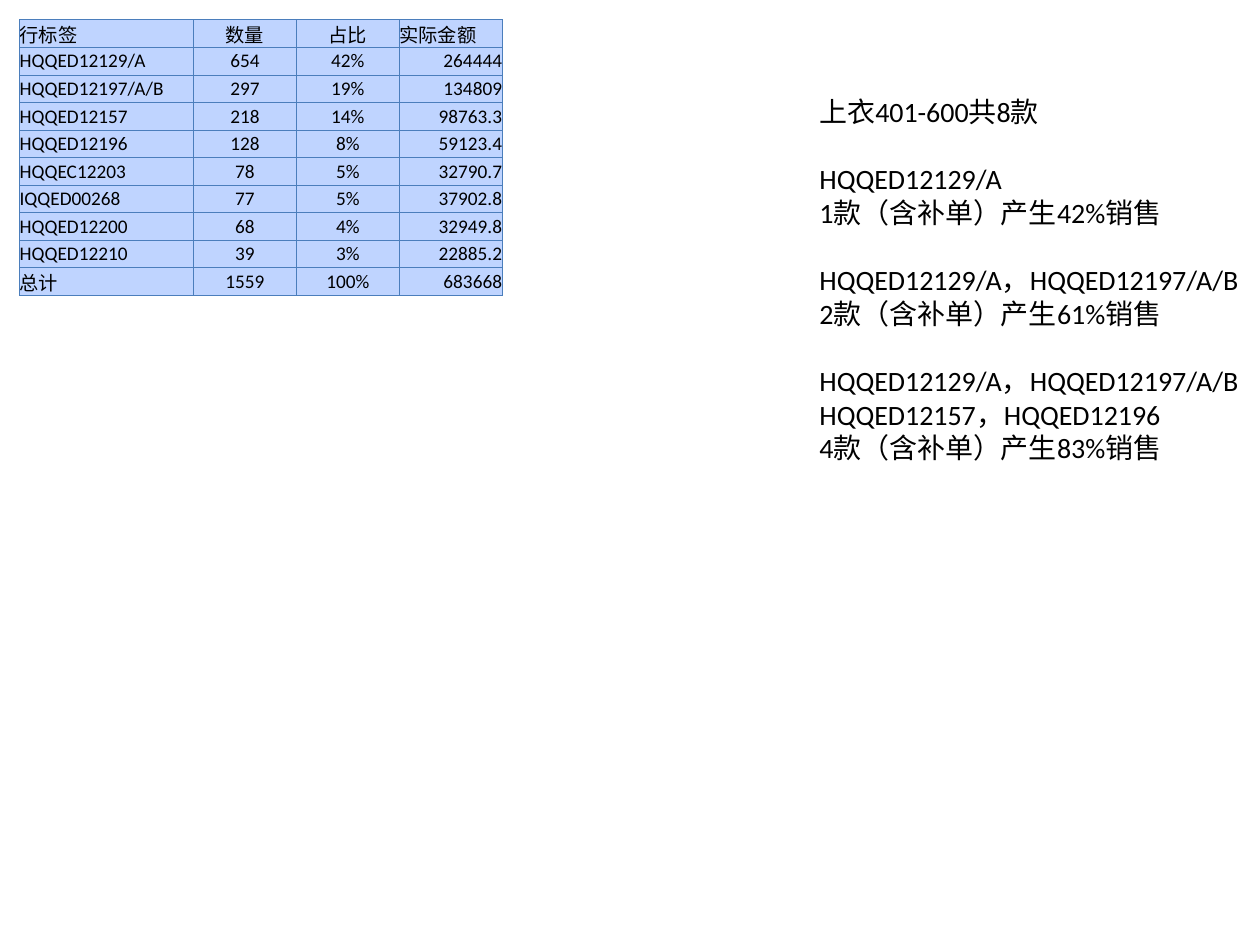
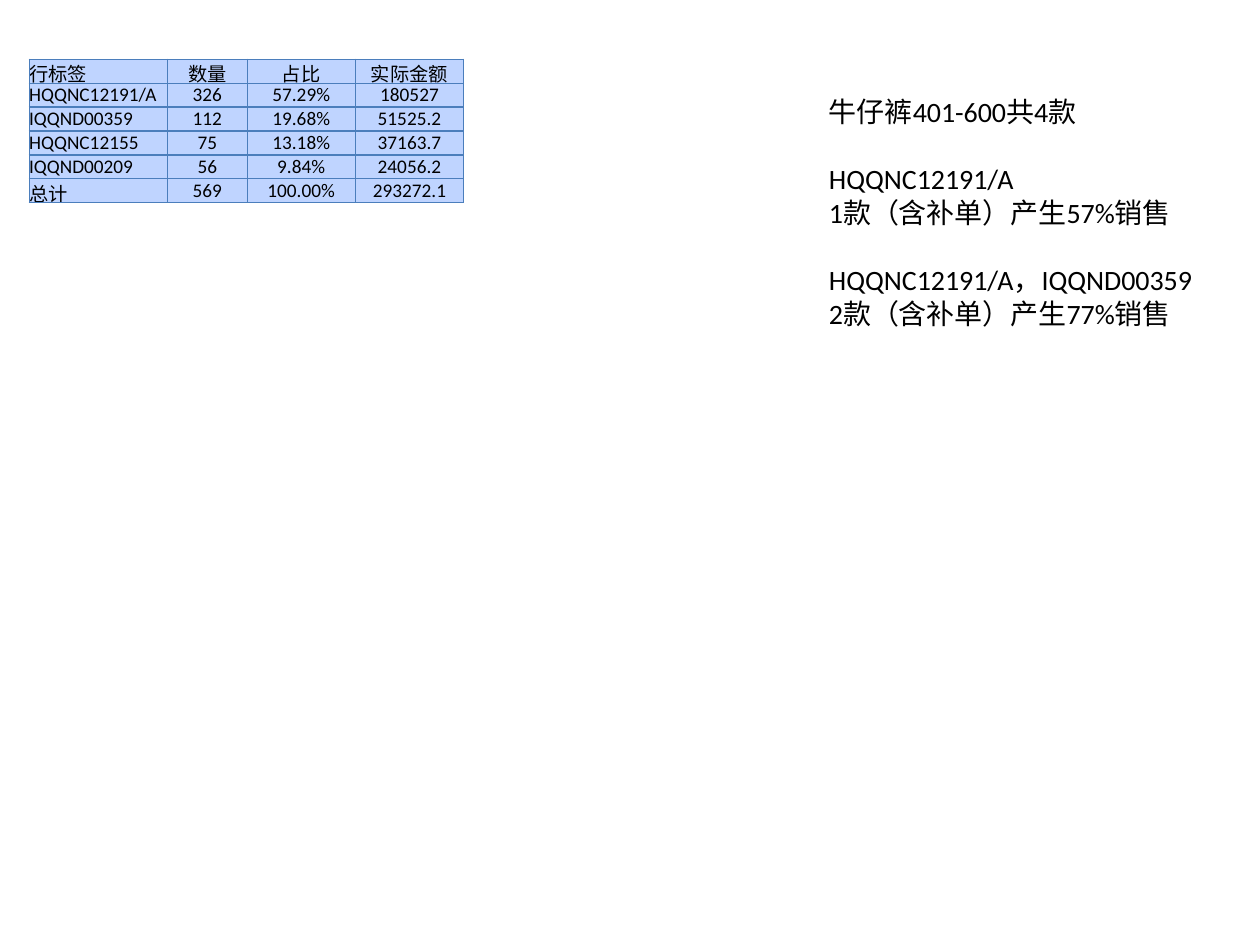
from lxml.etree import SubElement, Element
from pptx import Presentation
from pptx.dml.color import RGBColor
from pptx.enum.text import MSO_ANCHOR as Anchor, PP_ALIGN as Align
from pptx.oxml.ns import qn
from pptx.util import Pt

COLORS = {"text": "000000", "cell": "BFD4FF", "border": "4B7EBC"}
FONT = "Calibri"
HEADINGS = ["行标签", "数量", "占比", "实际金额"]
BLOCK_GAP = 19.3

TOP_SALES = [
    ["HQQED12129/A", "654", "42%", "264444"],
    ["HQQED12197/A/B", "297", "19%", "134809"],
    ["HQQED12157", "218", "14%", "98763.3"],
    ["HQQED12196", "128", "8%", "59123.4"],
    ["HQQEC12203", "78", "5%", "32790.7"],
    ["IQQED00268", "77", "5%", "37902.8"],
    ["HQQED12200", "68", "4%", "32949.8"],
    ["HQQED12210", "39", "3%", "22885.2"],
    ["总计", "1559", "100%", "683668"],
]
JEANS_SALES = [
    ["HQQNC12191/A", "326", "57.29%", "180527"],
    ["IQQND00359", "112", "19.68%", "51525.2"],
    ["HQQNC12155", "75", "13.18%", "37163.7"],
    ["IQQND00209", "56", "9.84%", "24056.2"],
    ["总计", "569", "100.00%", "293272.1"],
]
TOP_FINDINGS = [
    ["上衣401-600共8款"],
    ["HQQED12129/A", "1款（含补单）产生42%销售"],
    ["HQQED12129/A，HQQED12197/A/B", "2款（含补单）产生61%销售"],
    ["HQQED12129/A，HQQED12197/A/B", "HQQED12157，HQQED12196",
     "4款（含补单）产生83%销售"],
]
JEANS_FINDINGS = [
    ["牛仔裤401-600共4款"],
    ["HQQNC12191/A", "1款（含补单）产生57%销售"],
    ["HQQNC12191/A，IQQND00359", "2款（含补单）产生77%销售"],
]


def write(paragraph, text, size=11, align=Align.LEFT, before=0):
    paragraph.alignment = align
    paragraph.space_before = Pt(before)
    run = paragraph.add_run()
    run.text = text
    run.font.size = Pt(size)
    run.font.name = FONT
    run.font.color.rgb = RGBColor.from_string(COLORS["text"])


def style_cell(cell):
    cell.margin_left = cell.margin_right = cell.margin_top = cell.margin_bottom = 0
    cell.vertical_anchor = Anchor.MIDDLE
    cell.fill.solid()
    cell.fill.fore_color.rgb = RGBColor.from_string(COLORS["cell"])
    properties = cell._tc.get_or_add_tcPr()
    for order, side in enumerate(("lnL", "lnR", "lnT", "lnB")):
        border = Element(qn(f"a:{side}"), w=str(Pt(0.75)))
        paint = SubElement(border, qn("a:solidFill"))
        SubElement(paint, qn("a:srgbClr"), val=COLORS["border"])
        properties.insert(order, border)


def add_sales_table(slide, left, top, widths, row_height, sales, header_aligns, body_aligns):
    rows = [HEADINGS] + sales
    table = slide.shapes.add_table(
        len(rows), len(widths), Pt(left), Pt(top),
        Pt(sum(widths)), Pt(row_height * len(rows))).table
    for column, width in zip(table.columns, widths):
        column.width = Pt(width)
    for r, values in enumerate(rows):
        table.rows[r].height = Pt(row_height)
        aligns = body_aligns if r else header_aligns
        for c, (value, align) in enumerate(zip(values, aligns)):
            cell = table.cell(r, c)
            style_cell(cell)
            write(cell.text_frame.paragraphs[0], value, align=align)


def add_findings(slide, left, top, width, height, findings):
    frame = slide.shapes.add_textbox(Pt(left), Pt(top), Pt(width), Pt(height)).text_frame
    frame.word_wrap = True
    paragraph = frame.paragraphs[0]
    for block, lines in enumerate(findings):
        for number, line in enumerate(lines):
            if block or number:
                paragraph = frame.add_paragraph()
            write(paragraph, line, size=16,
                  before=BLOCK_GAP if block and number == 0 else 0)


def main():
    deck = Presentation()
    deck.slide_width, deck.slide_height = Pt(720), Pt(540)
    blank = deck.slide_layouts[6]
    centred = [Align.LEFT] + [Align.CENTER] * 3

    tops = deck.slides.add_slide(blank)
    add_sales_table(tops, 11.2, 11.2, [99.4] + [58.8] * 3, 15.75, TOP_SALES,
                    centred[:3] + [Align.LEFT], centred[:3] + [Align.RIGHT])
    add_findings(tops, 461.2, 50.4, 257, 406.8, TOP_FINDINGS)

    jeans = deck.slides.add_slide(blank)
    add_sales_table(jeans, 16.6, 33.8, [79.2, 45.4, 61.9, 61.9], 13.7, JEANS_SALES,
                    centred, centred)
    add_findings(jeans, 466.6, 50.4, 224.6, 310.3, JEANS_FINDINGS)

    deck.save("out.pptx")


if __name__ == "__main__":
    main()
